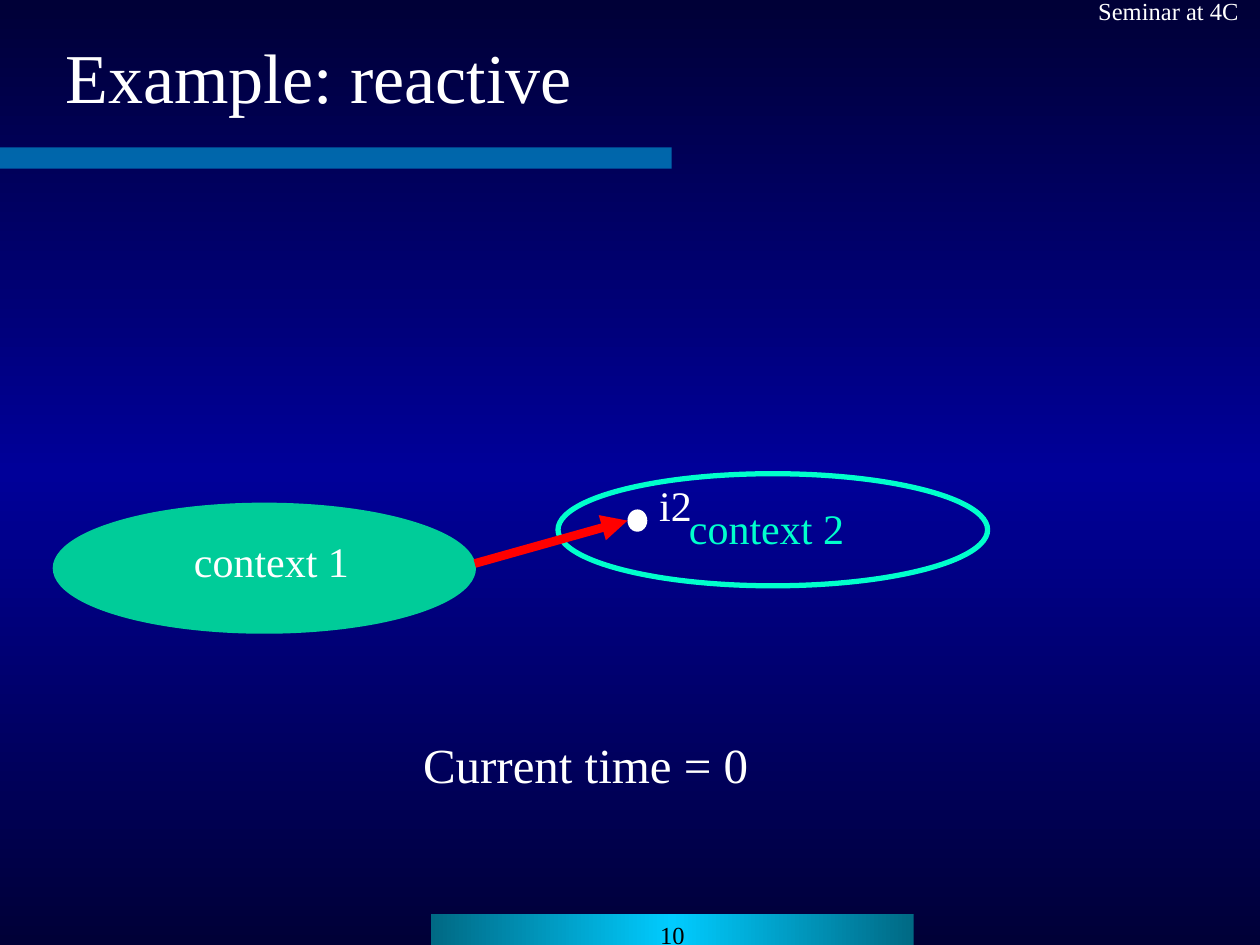
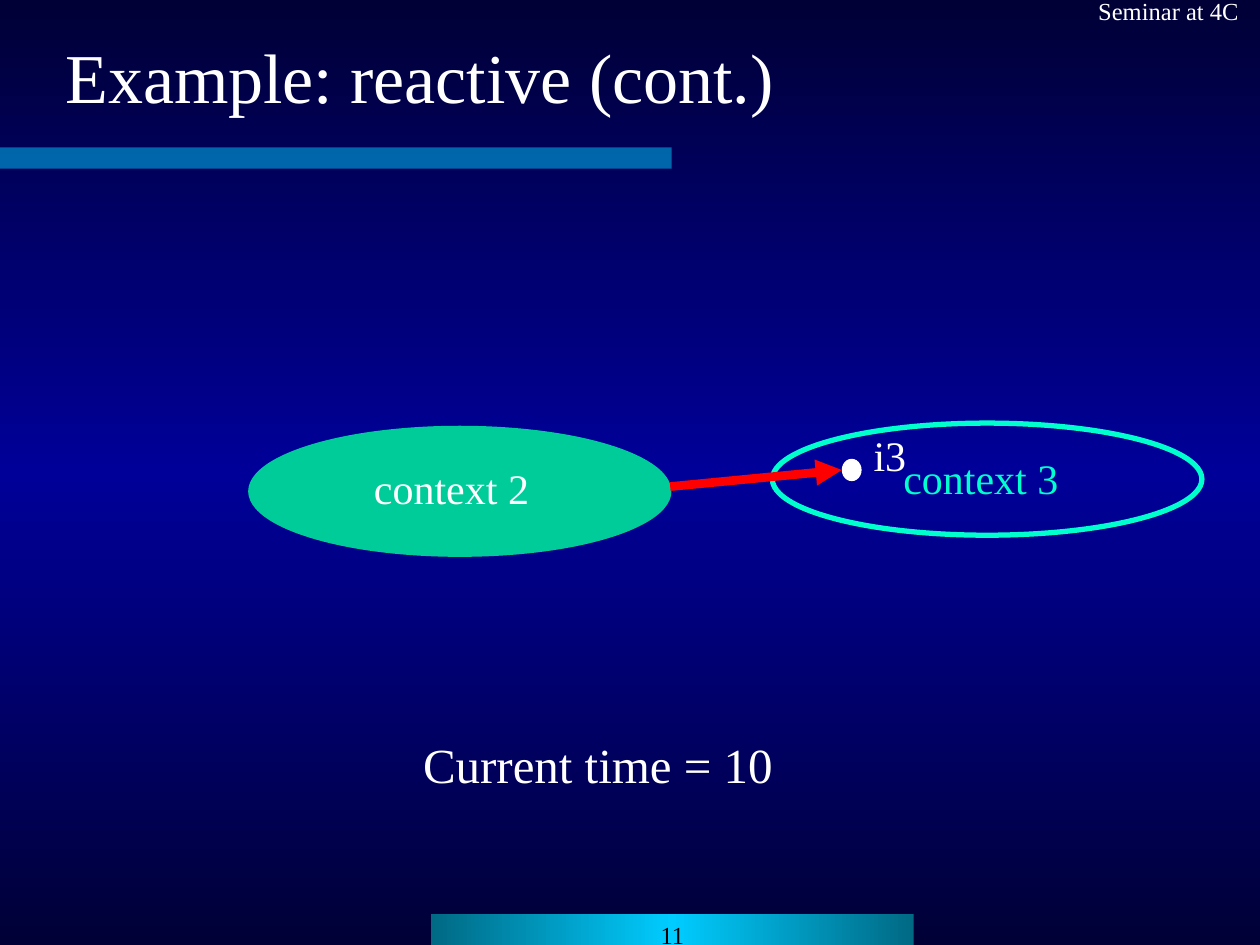
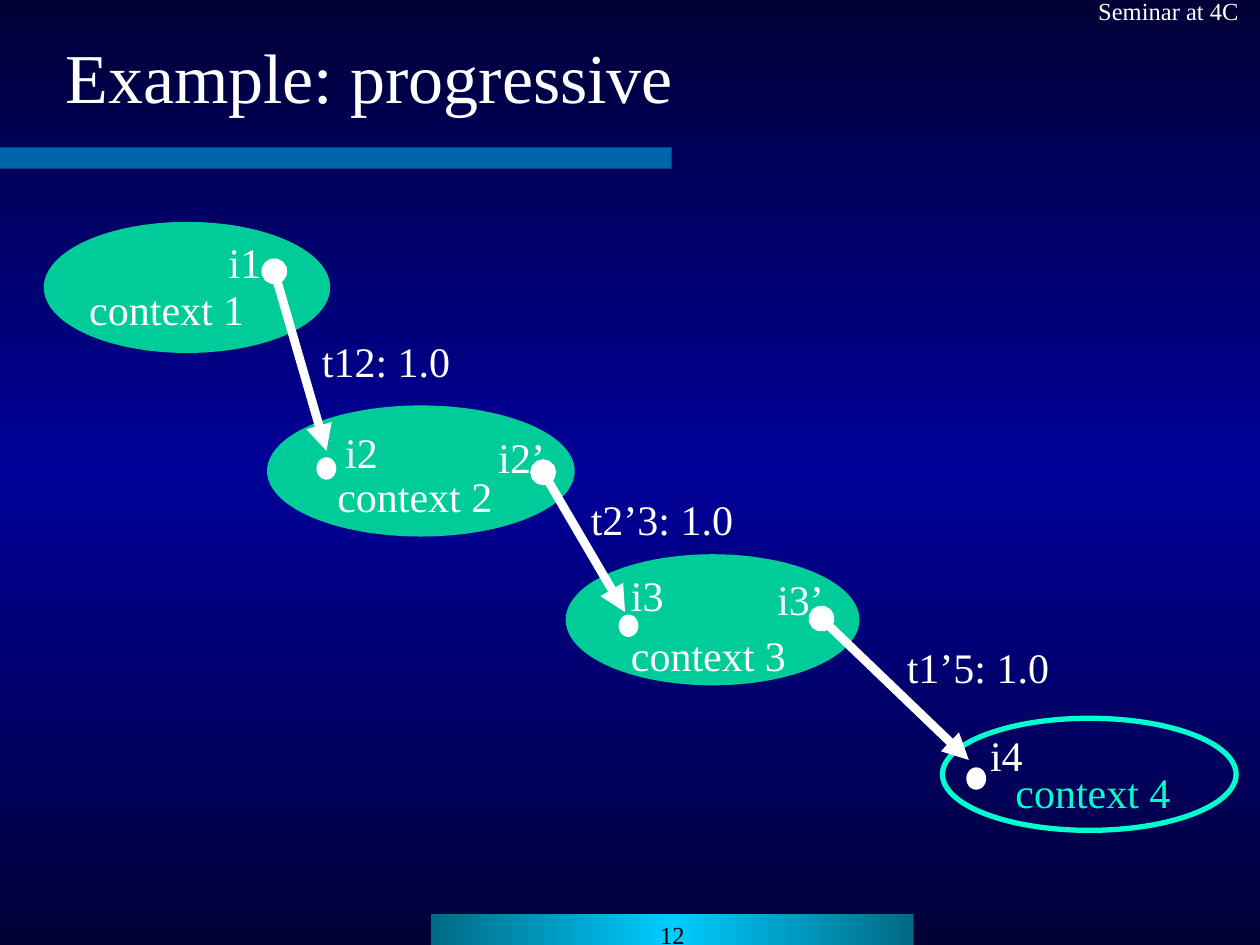
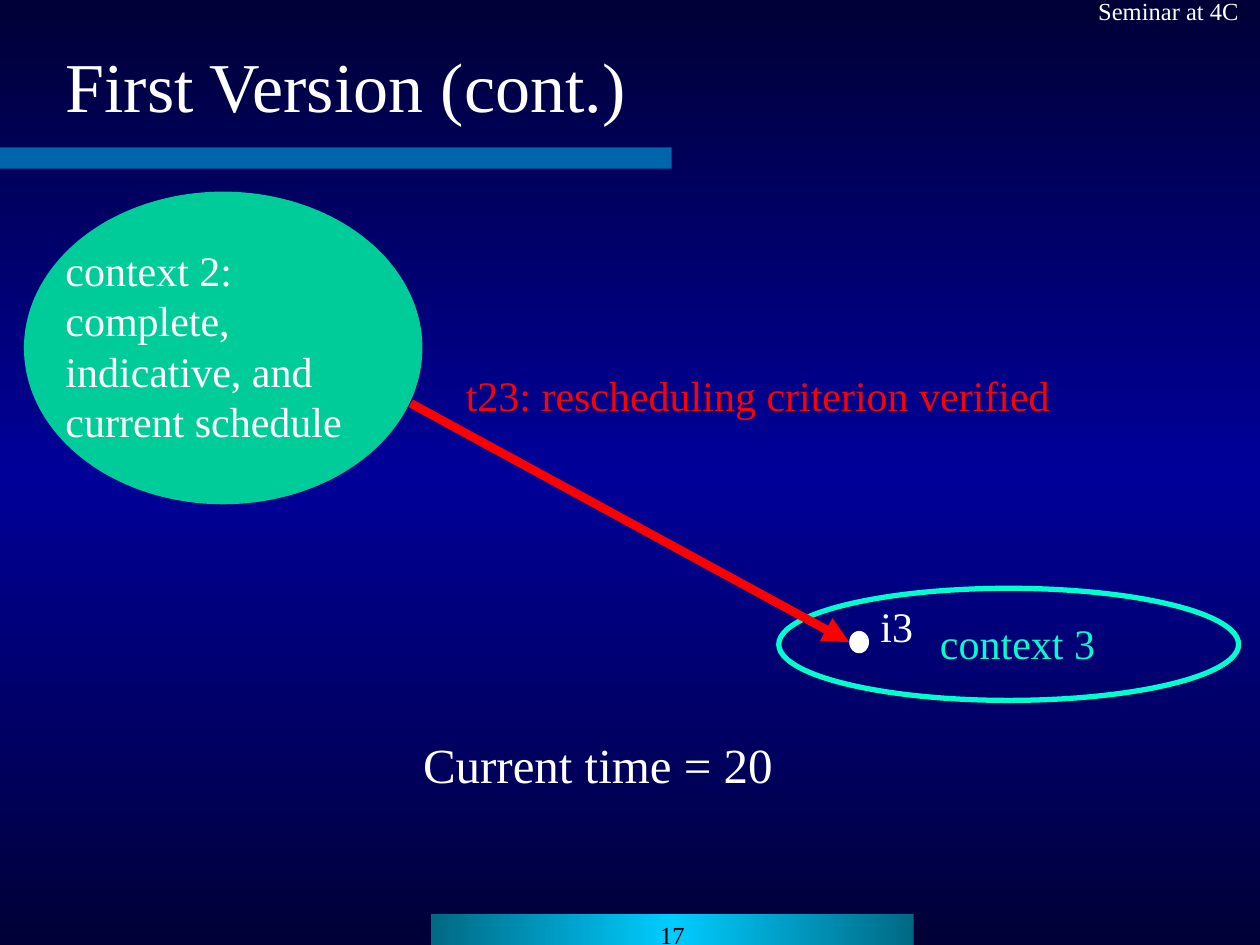
from copy import deepcopy
from dataclasses import dataclass

from lxml.etree import SubElement
from pptx import Presentation
from pptx.dml.color import RGBColor
from pptx.enum.shapes import MSO_CONNECTOR, MSO_SHAPE
from pptx.enum.text import MSO_ANCHOR, PP_ALIGN
from pptx.oxml.ns import qn
from pptx.util import Cm, Pt


@dataclass(frozen=True)
class Theme:
    font: str = "Times New Roman"
    white: str = "FFFFFF"
    black: str = "000000"
    filled: str = "00CC99"
    outlined: str = "00FFCC"
    alert: str = "FF0000"
    band: str = "00CCFF"
    band_edge: str = "006984"
    night: str = "000037"
    blue: str = "000099"
    title_size: int = 40
    clock_size: int = 28
    label_size: int = 24
    small_size: int = 14
    arrow_width: int = 5


THEME = Theme()


@dataclass(frozen=True)
class Box:
    """An area in centimetres."""
    x: float
    y: float
    w: float
    h: float

    def inner(self, dx, dy, w, h):
        return Box(self.x + dx, self.y + dy, w, h)

    def point(self, dx, dy):
        return self.x + dx, self.y + dy

    def emu(self):
        return Cm(self.x), Cm(self.y), Cm(self.w), Cm(self.h)


BAND = Box(0, 2.97, 13.54, 0.43)
FOOTER = Box(8.69, 18.42, 9.73, 0.63)
SEMINAR = Box(21.89, -0.2, 3.51, 0.84)
CLOCK = Box(8.28, 14.68, 7.62, 1.45)


def rgb(color):
    return RGBColor.from_string(color)


def mirror_gradient(fill, owner, edge, middle, angle):
    """Fill from edge to middle and back; owner is the element that holds the fill."""
    fill.gradient()
    fill.gradient_angle = angle
    stops = owner.find(".//" + qn("a:gsLst"))
    stops.append(deepcopy(stops[0]))
    for stop, color, position in zip(fill.gradient_stops, (edge, middle, edge), (0, 0.5, 1)):
        stop.color.rgb = rgb(color)
        stop.position = position


def write(frame, lines, size, color, align=PP_ALIGN.LEFT, anchor=MSO_ANCHOR.TOP):
    frame.word_wrap = True
    frame.vertical_anchor = anchor
    frame.text = lines
    for paragraph in frame.paragraphs:
        paragraph.alignment = align
        paragraph.font.name = THEME.font
        paragraph.font.size = Pt(size)
        paragraph.font.color.rgb = rgb(color)


def add_text(slide, box, lines, size=THEME.label_size, color=THEME.white, **layout):
    write(slide.shapes.add_textbox(*box.emu()).text_frame, lines, size, color, **layout)


def add_plain(slide, kind, box, fill=None, line=None, line_width=0):
    shape = slide.shapes.add_shape(kind, *box.emu())
    shape.shadow.inherit = False
    if fill:
        shape.fill.solid()
        shape.fill.fore_color.rgb = rgb(fill)
    else:
        shape.fill.background()
    if line:
        shape.line.color.rgb = rgb(line)
        shape.line.width = Pt(line_width)
    else:
        shape.line.fill.background()
    return shape


def add_arrow(slide, start, end, color, head=None):
    arrow = slide.shapes.add_connector(
        MSO_CONNECTOR.STRAIGHT, *(Cm(length) for length in (*start, *end)))
    arrow.line.color.rgb = rgb(color)
    arrow.line.width = Pt(THEME.arrow_width)
    outline = arrow.line._get_or_add_ln()
    if head:
        SubElement(outline, qn("a:headEnd"), type=head)
    SubElement(outline, qn("a:tailEnd"), type="triangle")
    SubElement(arrow.element.spPr, qn("a:effectLst"))


def add_filled_context(slide, box, name, label):
    add_plain(slide, MSO_SHAPE.OVAL, box, THEME.filled, THEME.filled, 1.5)
    add_text(slide, label, name)


def add_outlined_context(slide, box, name, label_at):
    add_plain(slide, MSO_SHAPE.OVAL, box, line=THEME.outlined, line_width=3)
    add_text(slide, box.inner(*label_at, 5.64, 0.94), name, color=THEME.outlined)


def add_instant(slide, context, name, dot_at, name_at):
    """Mark an instant inside a context and return the box of its dot."""
    dot = context.inner(*dot_at, 0.4, 0.45)
    add_text(slide, context.inner(*name_at, 1.8, 0.94), name)
    add_plain(slide, MSO_SHAPE.OVAL, dot, THEME.white)
    return dot


def add_clock(slide, time):
    add_text(slide, CLOCK, f"Current time = {time}", THEME.clock_size)


def new_slide(deck, title, page, title_width, title_height=1.78):
    slide = deck.slides.add_slide(deck.slide_layouts[6])
    mirror_gradient(slide.background.fill, slide.element, THEME.night, THEME.blue, 270)

    band = add_plain(slide, MSO_SHAPE.RECTANGLE, BAND, THEME.band)
    SubElement(band.element.spPr.find(".//" + qn("a:srgbClr")), qn("a:alpha"), val="50000")

    footer = add_plain(slide, MSO_SHAPE.RECTANGLE, FOOTER)
    mirror_gradient(footer.fill, footer.element.spPr, THEME.band_edge, THEME.band, 0)
    write(footer.text_frame, str(page), THEME.small_size, THEME.black, PP_ALIGN.CENTER)

    add_text(slide, SEMINAR, "Seminar at 4C", THEME.small_size)
    add_text(slide, Box(1.07, 0.64, title_width, title_height), title,
             THEME.title_size, anchor=MSO_ANCHOR.MIDDLE)
    return slide


def draw_reaction(slide, number, source, source_label_at, target, time):
    """Show context `number` giving way to the next one."""
    add_filled_context(slide, source, f"context {number}",
                       source.inner(*source_label_at, 4.62, 1.32))
    add_outlined_context(slide, target, f"context {number + 1}", (2.39, 0.46))
    dot = add_instant(slide, target, f"i{number + 1}", (1.4, 0.72), (1.79, 0))
    add_arrow(slide, source.point(source.w, 1.2), dot.point(0, dot.h / 2), THEME.alert)
    add_clock(slide, time)


def draw_progression(slide):
    first = Box(0.91, 4.5, 5.72, 2.59)
    second = Box(5.41, 8.2, 6.15, 2.59)
    third = Box(11.43, 11.2, 5.87, 2.59)
    fourth = Box(19, 14.48, 5.92, 2.26)

    filled = ((first, (0.64, 1.09)), (second, (1.14, 1.17)), (third, (1.04, 1.37)))
    for number, (context, label_at) in enumerate(filled, 1):
        add_filled_context(slide, context, f"context {number}",
                           context.inner(*label_at, 4.62, 1.32))
    add_outlined_context(slide, fourth, "context 4", (1.22, 0.84))

    entries = [
        add_instant(slide, second, "i2", (0.97, 1.02), (1.3, 0.28)),
        add_instant(slide, third, "i3", (1.04, 1.19), (1.04, 0.15)),
        add_instant(slide, fourth, "i4", (0.48, 0.99), (0.71, 0.1)),
    ]
    # context, exit name, name offset, arrow start, arrow end from the dot,
    # transition, transition offset from the arrow start
    transitions = (
        (first, "i1", (3.45, 0.15), (4.62, 0.97), (0.2, -0.13), "t12: 1.0", (0.71, 1.17)),
        (second, "i2’", (4.39, 0.38), (5.54, 1.32), (0.13, -0.05), "t2’3: 1.0", (0.71, 0.3)),
        (third, "i3’", (3.99, 0.23), (5.13, 1.27), (0.05, -0.15), "t1’5: 1.0", (1.47, 0.33)),
    )
    for entry, transition in zip(entries, transitions):
        context, leaving, leaving_at, start_at, end_at, name, name_at = transition
        start = context.point(*start_at)
        add_text(slide, context.inner(*leaving_at, 1.8, 0.94), leaving)
        add_text(slide, Box(*start, 0, 0).inner(*name_at, 4.01, 0.94), name)
        add_arrow(slide, start, entry.point(*end_at), THEME.white, head="oval")


def draw_rescheduling(slide, source, target):
    add_filled_context(
        slide, source, "context 2:\ncomplete, indicative, and current schedule",
        source.inner(0.56, 0.91, 6.78, 3.94))
    add_text(slide, source.inner(8.63, 3.43, 15.19, 1.63),
             "t23: rescheduling criterion verified", color=THEME.alert)
    dot = add_instant(slide, target, "i3", (1.42, 0.86), (1.8, 0.13))
    add_outlined_context(slide, target, "context 3", (3, 0.46))
    add_clock(slide, 20)
    add_arrow(slide, source.point(7.77, 4.24), dot.point(0, dot.h / 2), THEME.alert)


def main():
    deck = Presentation()
    deck.slide_width, deck.slide_height = Cm(25.4), Cm(19.05)

    draw_reaction(new_slide(deck, "Example: reactive", 10, 13.44), 1,
                  Box(1.09, 10.16, 8.48, 2.59), (2.57, 0.51),
                  Box(11.25, 9.55, 8.66, 2.26), 0)
    draw_reaction(new_slide(deck, "Example: reactive (cont.)", 11, 18.11), 2,
                  Box(5.03, 8.61, 8.48, 2.59), (2.26, 0.58),
                  Box(15.57, 8.53, 8.66, 2.26), 10)
    draw_progression(new_slide(deck, "Example: progressive", 12, 13.44))
    draw_rescheduling(new_slide(deck, "First Version (cont.)", 17, 24.33, 2.11),
                      Box(0.51, 3.89, 7.98, 6.25), Box(15.7, 11.86, 9.27, 2.26))

    deck.save("out.pptx")


if __name__ == "__main__":
    main()
